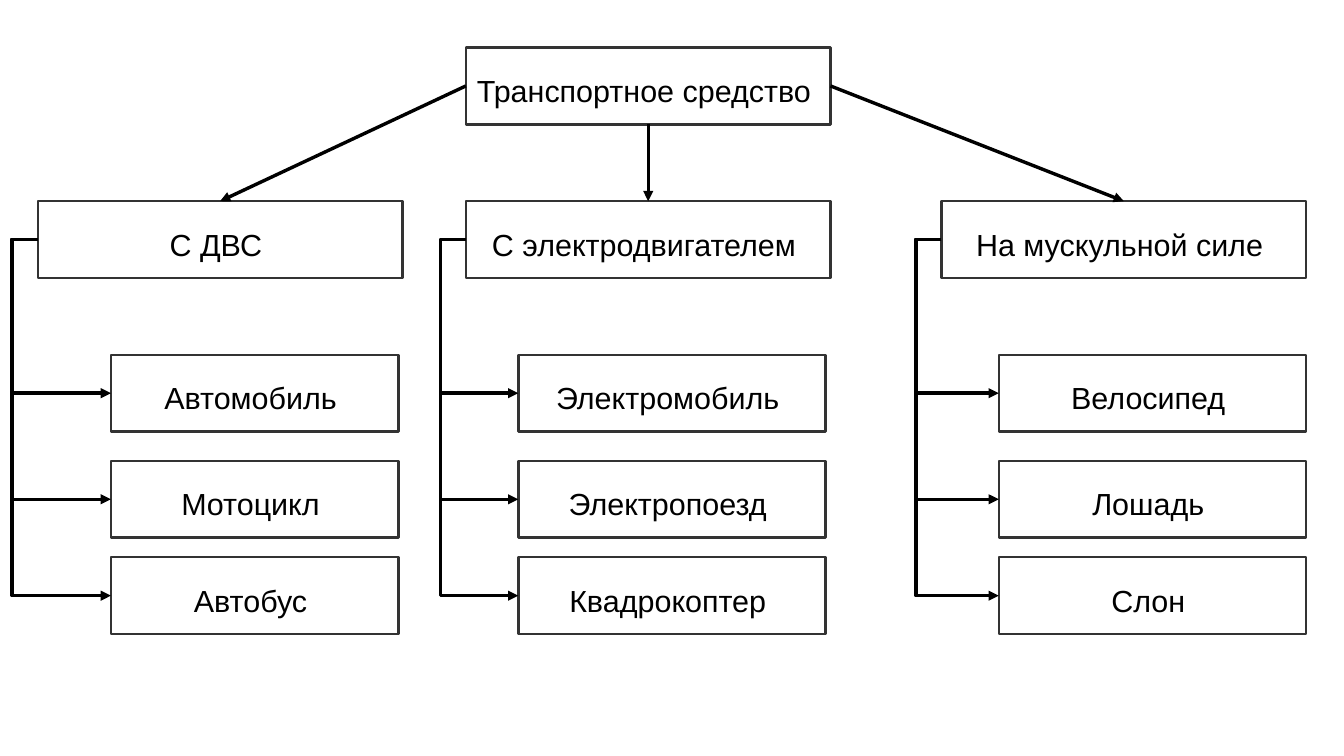
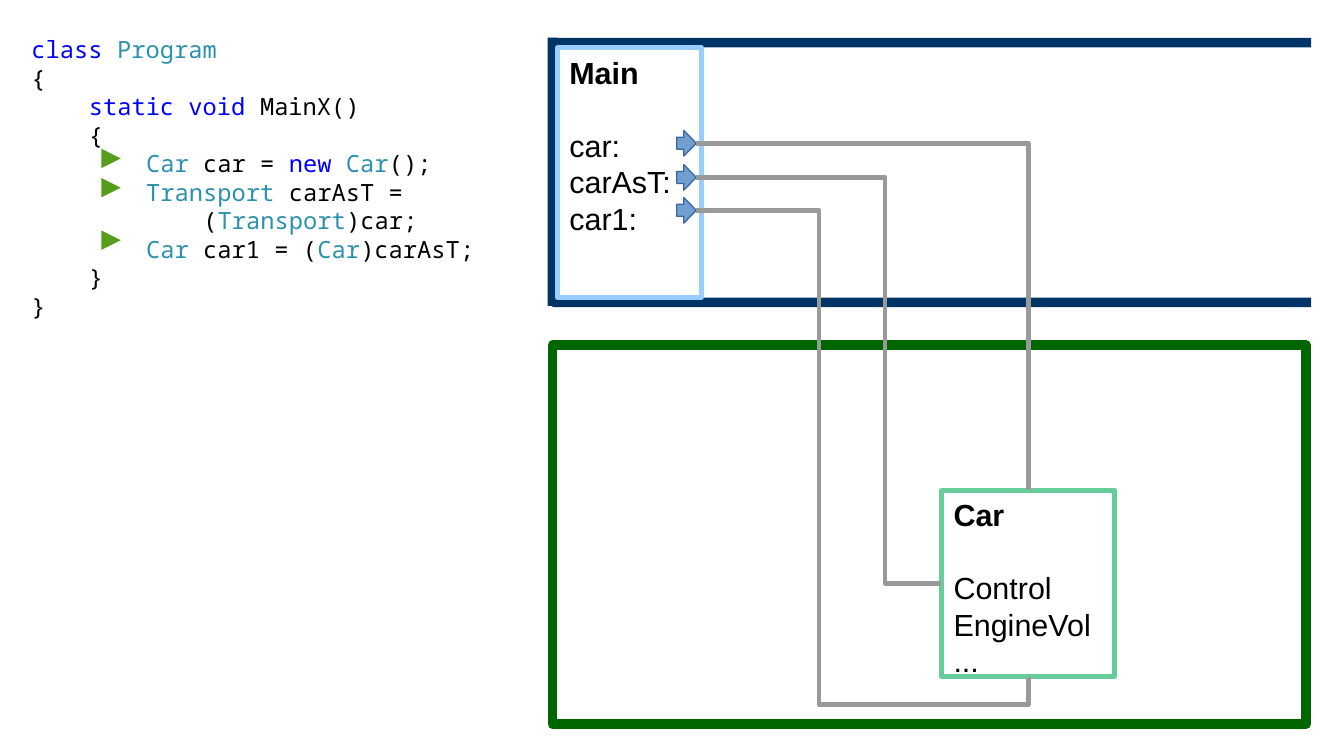
from dataclasses import dataclass

from lxml.etree import SubElement
from pptx import Presentation
from pptx.dml.color import RGBColor
from pptx.enum.shapes import MSO_CONNECTOR, MSO_SHAPE
from pptx.enum.text import MSO_ANCHOR, PP_ALIGN
from pptx.oxml.ns import qn
from pptx.shapes.autoshape import Shape
from pptx.shapes.connector import Connector
from pptx.slide import Slide
from pptx.text.text import TextFrame, _Paragraph
from pptx.util import Inches, Pt

BLACK = RGBColor(0x00, 0x00, 0x00)
EDGE = RGBColor(0x33, 0x33, 0x33)
NAVY = RGBColor(0x00, 0x33, 0x66)
SKY = RGBColor(0x99, 0xCC, 0xFF)
GREEN = RGBColor(0x00, 0x66, 0x00)
MINT = RGBColor(0x66, 0xCC, 0x99)
STEEL = RGBColor(0x72, 0x9F, 0xCF)
STEEL_EDGE = RGBColor(0x34, 0x65, 0xA4)
LEAF = RGBColor(0x57, 0x9D, 0x1C)
GRAY = RGBColor(0x99, 0x99, 0x99)
KEYWORD = RGBColor(0x00, 0x00, 0xFF)
TYPE = RGBColor(0x2B, 0x91, 0xAF)

SANS = "Arial"
MONO = "Noto Sans Mono"
TOP, LEFT, BOTTOM, RIGHT = range(4)


@dataclass(frozen=True)
class Box:
    x: float
    y: float
    w: float
    h: float


@dataclass(frozen=True)
class Branch:
    name: str
    x: float
    leaf_x: float
    leaf_w: float
    leaves: tuple[str, ...]


@dataclass(frozen=True)
class Line:
    """A line of code: indent steps, then pieces of text with their colours."""
    level: int
    words: tuple[tuple[str, RGBColor], ...]


@dataclass(frozen=True)
class Route:
    """A reference: its arrow's height and the way from it to the object."""
    y: float
    side: int
    preset: str
    bends: tuple[float, ...] = ()


NODE_W, NODE_H = 2.99, 0.63
ROOT = Box(3.82, 0.39, NODE_W, NODE_H)
BRANCH_Y = 1.65
LEAF_YS = (2.91, 3.78, 4.57)
RAIL_GAP = 0.21
BRANCHES = (
    Branch("С ДВС", 0.31, 0.91, 2.36, ("Автомобиль", "Мотоцикл", "Автобус")),
    Branch("С электродвигателем", 3.82, 4.25, 2.52,
           ("Электромобиль", "Электропоезд", "Квадрокоптер")),
    Branch("На мускульной силе", 7.72, 8.19, 2.52, ("Велосипед", "Лошадь", "Слон")),
)

STEP = 0.47
CODE = (
    Line(0, (("class ", KEYWORD), ("Program", TYPE))),
    Line(0, (("{", BLACK),)),
    Line(1, (("static void", KEYWORD), (" MainX()", BLACK))),
    Line(1, (("{", BLACK),)),
    Line(2, (("Car", TYPE), (" car = ", BLACK), ("new ", KEYWORD),
             ("Car", TYPE), ("();", BLACK))),
    Line(2, (("Transport", TYPE), (" carAsT =", BLACK))),
    Line(3, (("(", BLACK), ("Transport", TYPE), (")car;", BLACK))),
    Line(2, (("Car", TYPE), (" car1 = (", BLACK), ("Car", TYPE), (")carAsT;", BLACK))),
    Line(1, (("}", BLACK),)),
    Line(0, (("}", BLACK),)),
)
MARK_YS = (1.22, 1.46, 1.89)

STACK = (
    Box(4.53, 2.44, 6.22, 0.08),
    Box(4.49, 0.31, 0.08, 2.2),
    Box(4.53, 0.31, 6.22, 0.08),
)
FRAME = Box(4.57, 0.39, 1.18, 2.05)
HEAP = Box(4.53, 2.83, 6.18, 3.11)
OBJECT = Box(7.72, 4.02, 1.42, 1.53)
ROUTES = (
    Route(1.07, TOP, "bentConnector2"),
    Route(1.35, LEFT, "bentConnector3", (0.77,)),
    Route(1.62, BOTTOM, "bentConnector4", (0.37, 1.06)),
)


def add_run(para: _Paragraph, text: str, face: str, size: float,
            color: RGBColor = BLACK, bold: bool = False) -> None:
    run = para.add_run()
    run.text = text
    font = run.font
    font.name, font.size, font.bold = face, Pt(size), bold
    font.color.rgb = color


def set_insets(frame: TextFrame, left: float, top: float,
               right: float, bottom: float) -> None:
    frame.margin_left, frame.margin_top = Inches(left), Inches(top)
    frame.margin_right, frame.margin_bottom = Inches(right), Inches(bottom)


def next_para(frame: TextFrame, index: int) -> _Paragraph:
    return frame.add_paragraph() if index else frame.paragraphs[0]


def add_box(slide: Slide, box: Box, fill: RGBColor | None = None,
            edge: RGBColor | None = None, width: float = 0,
            kind: MSO_SHAPE = MSO_SHAPE.RECTANGLE) -> Shape:
    shape = slide.shapes.add_shape(
        kind, Inches(box.x), Inches(box.y), Inches(box.w), Inches(box.h))
    shape.shadow.inherit = False
    if fill is None:
        shape.fill.background()
    else:
        shape.fill.solid()
        shape.fill.fore_color.rgb = fill
    if edge is None:
        shape.line.fill.background()
    else:
        shape.line.color.rgb = edge
        shape.line.width = Pt(width)
    return shape


def add_node(slide: Slide, box: Box, text: str) -> Shape:
    shape = add_box(slide, box, edge=EDGE, width=1.45)
    frame = shape.text_frame
    frame.word_wrap = True
    frame.vertical_anchor = MSO_ANCHOR.MIDDLE
    set_insets(frame, 0.05, 0.12, 0.12, 0.05)
    para = frame.paragraphs[0]
    para.alignment = PP_ALIGN.CENTER
    add_run(para, text, SANS, 18)
    return shape


def add_record(slide: Slide, box: Box, edge: RGBColor,
               title: str, fields: tuple[str, ...]) -> Shape:
    """Draw a memory block: a bold title, a gap, then its fields."""
    shape = add_box(slide, box, edge=edge, width=2.83)
    frame = shape.text_frame
    frame.word_wrap = True
    frame.vertical_anchor = MSO_ANCHOR.TOP
    set_insets(frame, 0.1, 0.05, 0.1, 0)
    for i, text in enumerate((title, *fields)):
        para = next_para(frame, i)
        para.alignment = PP_ALIGN.LEFT
        if i == 1:
            para.space_before = Pt(21.5)
        add_run(para, text, SANS, 18, bold=i == 0)
    return shape


def link(slide: Slide, start: Shape, side: int, end: Shape, entry: int,
         color: RGBColor, width: float = 0, preset: str = "line",
         bends: tuple[float, ...] = (), arrow: bool = False) -> Connector:
    """Join two shapes; bends are fractions of the connector's width and height."""
    kind = MSO_CONNECTOR.STRAIGHT if preset == "line" else MSO_CONNECTOR.ELBOW
    wire = slide.shapes.add_connector(kind, 0, 0, 0, 0)
    wire.begin_connect(start, side)
    wire.end_connect(end, entry)
    wire.line.color.rgb = color
    wire.line.width = Pt(width)
    props = wire._element.spPr
    geom = props.find(qn("a:prstGeom"))
    geom.set("prst", preset)
    guides = geom.find(qn("a:avLst"))
    for i, bend in enumerate(bends, 1):
        SubElement(guides, qn("a:gd"), name=f"adj{i}", fmla=f"val {round(bend * 100000)}")
    if arrow:
        SubElement(props.find(qn("a:ln")), qn("a:tailEnd"), type="triangle")
    SubElement(props, qn("a:effectLst"))
    return wire


def draw_tree(slide: Slide) -> None:
    root = add_node(slide, ROOT, "Транспортное средство")
    for branch, side in zip(BRANCHES, (LEFT, BOTTOM, RIGHT)):
        head = add_node(slide, Box(branch.x, BRANCH_Y, NODE_W, NODE_H), branch.name)
        link(slide, root, side, head, TOP, BLACK, arrow=True)
        bend = -RAIL_GAP / (branch.leaf_x - branch.x)
        for y, name in zip(LEAF_YS, branch.leaves):
            leaf = add_node(slide, Box(branch.leaf_x, y, branch.leaf_w, NODE_H), name)
            link(slide, head, LEFT, leaf, LEFT, BLACK,
                 preset="bentConnector3", bends=(bend,), arrow=True)


def draw_code(slide: Slide) -> None:
    area = slide.shapes.add_textbox(Inches(0.16), Inches(0.24), Inches(4.09), Inches(2.61))
    frame = area.text_frame
    frame.word_wrap = True
    set_insets(frame, 0.1, 0.05, 0.1, 0.05)
    for i, line in enumerate(CODE):
        para = next_para(frame, i)
        para._p.get_or_add_pPr().set("marL", str(Inches(STEP * line.level)))
        for text, color in line.words:
            add_run(para, text, MONO, 14, color)
    for y in MARK_YS:
        mark = add_box(slide, Box(0.83, y, 0.16, 0.16), LEAF,
                       kind=MSO_SHAPE.ISOSCELES_TRIANGLE)
        mark.rotation = 90


def draw_memory(slide: Slide) -> None:
    for bar in STACK:
        add_box(slide, bar, NAVY)
    add_record(slide, FRAME, SKY, "Main", ("car:", "carAsT:", "car1:"))
    add_box(slide, HEAP, edge=GREEN, width=5.67)
    car = add_record(slide, OBJECT, MINT, "Car", ("Control", "EngineVol", "..."))
    for route in ROUTES:
        arrow = add_box(slide, Box(5.55, route.y, 0.16, 0.21), STEEL, STEEL_EDGE,
                        kind=MSO_SHAPE.RIGHT_ARROW)
        arrow.adjustments[0], arrow.adjustments[1] = 0.47, 0.64
        link(slide, arrow, RIGHT, car, route.side, GRAY, 2.83, route.preset, route.bends)


def main() -> None:
    deck = Presentation()
    deck.slide_width, deck.slide_height = Inches(11.02), Inches(6.2)
    blank = deck.slide_layouts[6]
    draw_tree(deck.slides.add_slide(blank))
    slide = deck.slides.add_slide(blank)
    draw_code(slide)
    draw_memory(slide)
    deck.save("out.pptx")


if __name__ == "__main__":
    main()
